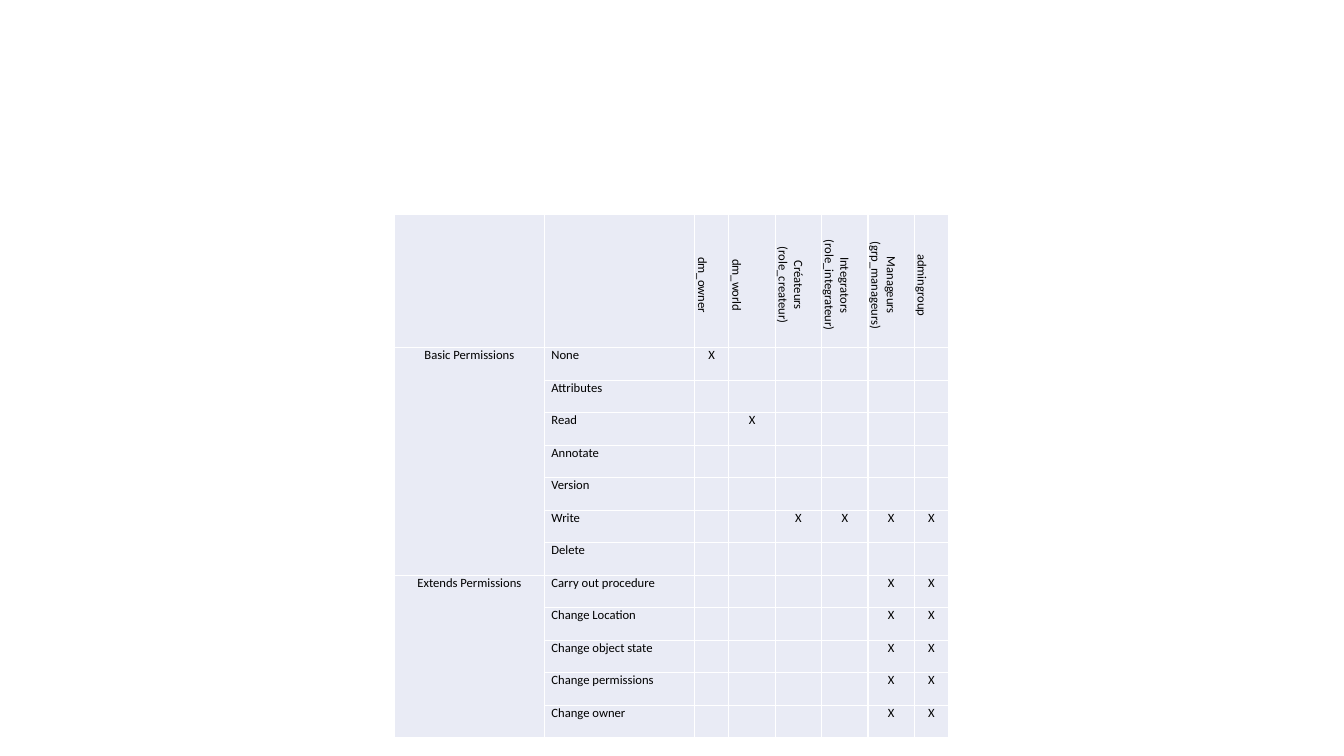
from itertools import product

from lxml import etree
from pptx import Presentation, util as u
from pptx.dml.color import RGBColor
from pptx.enum import text
from pptx.oxml import ns

# Content
ROLES = [
    ("dm_owner",),
    ("dm_world",),
    ("Créateurs", "(role_createur)"),
    ("Integrators", "(role_integrateur)"),
    ("Manageurs", "(grp_manageurs)"),
    ("admingroup",),
]
OWNER, WORLD, CREATORS, INTEGRATORS, MANAGERS, ADMINS = range(len(ROLES))
GRANT = "X"
PERMISSIONS = {
    "Basic Permissions": [
        ("None", [OWNER]),
        ("Attributes", []),
        ("Read", [WORLD]),
        ("Annotate", []),
        ("Version", []),
        ("Write", [CREATORS, INTEGRATORS, MANAGERS, ADMINS]),
        ("Delete", []),
    ],
    "Extends Permissions": [
        (name, [MANAGERS, ADMINS])
        for name in ("Carry out procedure", "Change Location",
                     "Change object state", "Change permissions", "Change owner")
    ],
}

# Theme and layout
THEME = {
    "fill": RGBColor.from_string("E9EBF5"),
    "border": "FFFFFF",
    "border_width": u.Pt(1),
    "line_spacing": u.Pt(11),
    "font": {"name": "Calibri", "size": u.Pt(9)},
    "ink": RGBColor(0, 0, 0),
    "cell": {
        "margin_left": u.Inches(0.07), "margin_right": u.Inches(0.07),
        "margin_top": 0, "margin_bottom": 0,
    },
}
LEFT, TOP = u.Inches(3.91), u.Inches(2.13)
COLUMN_WIDTHS = [1.49, 1.49, 0.34, 0.46, 0.46, 0.46, 0.46, 0.34]
HEADER_HEIGHT, TABLE_HEIGHT = u.Inches(1.32), u.Inches(5.19)
FIRST_ROLE = 2
CENTER, START = text.PP_ALIGN.CENTER, text.PP_ALIGN.LEFT


def set_all(target, values):
    for name, value in values.items():
        setattr(target, name, value)


def style_cell(cell):
    set_all(cell, THEME["cell"])
    cell.fill.solid()
    cell.fill.fore_color.rgb = THEME["fill"]
    cell.text_frame.paragraphs[0].line_spacing = THEME["line_spacing"]
    # Borders come before the fill in the cell properties
    properties = cell._tc.get_or_add_tcPr()
    for position, side in enumerate(("lnL", "lnR", "lnT", "lnB")):
        border = etree.Element(ns.qn("a:" + side), w=str(THEME["border_width"]))
        fill = etree.SubElement(border, ns.qn("a:solidFill"))
        etree.SubElement(fill, ns.qn("a:srgbClr"), val=THEME["border"])
        properties.insert(position, border)


def write(cell, lines, align=CENTER, indent=0):
    cell.text_frame.text = "\n".join(lines)
    for paragraph in cell.text_frame.paragraphs:
        set_all(paragraph, {"alignment": align, "line_spacing": THEME["line_spacing"]})
        if indent:
            paragraph._p.get_or_add_pPr().set("marL", str(indent))
        font = paragraph.runs[0].font
        set_all(font, THEME["font"])
        font.color.rgb = THEME["ink"]


# Slide
deck = Presentation()
deck.slide_width, deck.slide_height = u.Inches(13.33), u.Inches(7.5)
slide = deck.slides.add_slide(deck.slide_layouts[6])

# Permission matrix
row_count = 1 + sum(len(group) for group in PERMISSIONS.values())
column_count = len(COLUMN_WIDTHS)
matrix = slide.shapes.add_table(
    row_count, column_count, LEFT, TOP,
    u.Inches(sum(COLUMN_WIDTHS)), TABLE_HEIGHT).table
for column, width in zip(matrix.columns, COLUMN_WIDTHS):
    column.width = u.Inches(width)
for row in matrix.rows:
    row.height = (TABLE_HEIGHT - HEADER_HEIGHT) // (row_count - 1)
matrix.rows[0].height = HEADER_HEIGHT
for row, column in product(range(row_count), range(column_count)):
    style_cell(matrix.cell(row, column))

# Rotated role headings
for column, lines in enumerate(ROLES, FIRST_ROLE):
    heading = matrix.cell(0, column)
    write(heading, lines, indent=u.Inches(0.08))
    heading._tc.get_or_add_tcPr().set("vert", "vert")

# Permission groups and their grants
row = 1
for group, permissions in PERMISSIONS.items():
    group_cell = matrix.cell(row, 0)
    group_cell.merge(matrix.cell(row + len(permissions) - 1, 0))
    write(group_cell, [group])
    for permission, granted in permissions:
        write(matrix.cell(row, 1), [permission], START)
        for role in granted:
            write(matrix.cell(row, FIRST_ROLE + role), [GRANT])
        row += 1

deck.save("out.pptx")
